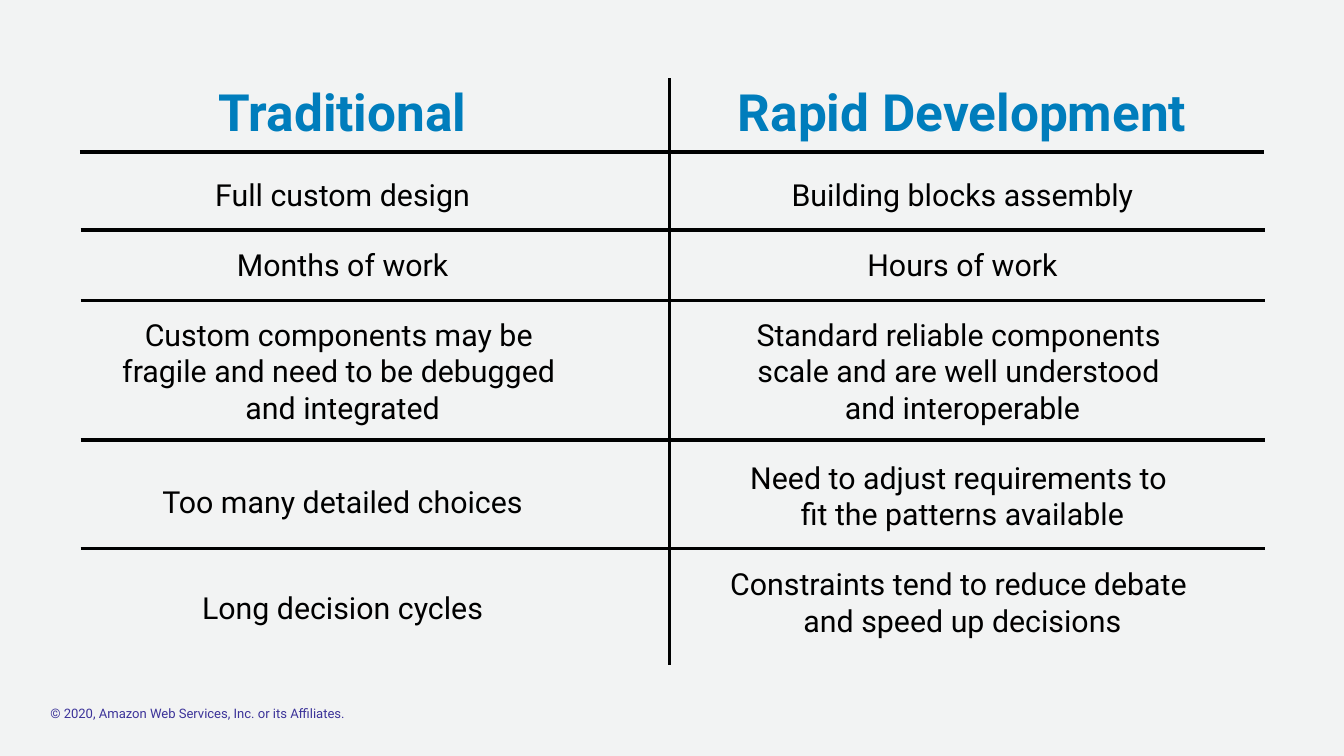
"""Build a slide comparing traditional and rapid development."""
from dataclasses import dataclass

from lxml import etree
from pptx import Presentation
from pptx import util as u
from pptx.dml.color import RGBColor
from pptx.enum import shapes, text
from pptx.oxml.ns import qn


@dataclass(frozen=True)
class Theme:
    font: str = "Roboto"
    background: str = "F2F3F3"
    heading: str = "007DBC"
    body: str = "000000"
    footer: str = "3C3399"
    heading_size: float = 44
    body_size: float = 26
    footer_size: float = 11.2
    rule_width: float = 3


theme = Theme()
deck = Presentation()
deck.slide_width, deck.slide_height = u.Pt(1152), u.Pt(648)
slide = deck.slides.add_slide(deck.slide_layouts[6])
slide.background.fill.solid()
slide.background.fill.fore_color.rgb = RGBColor.from_string(theme.background)


def add_frame(left, top, width, height, wrap=True):
    box = slide.shapes.add_textbox(u.Pt(left), u.Pt(top), u.Pt(width), u.Pt(height))
    box.text_frame.word_wrap = wrap
    return box.text_frame


def write_lines(paragraph, lines, size, color, bold=False):
    for number, line in enumerate(lines):
        if number:
            paragraph.add_line_break()
        run = paragraph.add_run()
        run.text = line
        run.font.name = theme.font
        run.font.size = u.Pt(size)
        run.font.bold = bold
        run.font.color.rgb = RGBColor.from_string(color)


copyright_line = add_frame(43.2, 604.8, 560, 13.7)
copyright_line.margin_left = copyright_line.margin_right = 0
copyright_line.margin_top = copyright_line.margin_bottom = 0
write_lines(copyright_line.paragraphs[0],
            ["© 2020, Amazon Web Services, Inc. or its Affiliates."],
            theme.footer_size, theme.footer)

approaches = [
    ("Traditional", 170.6, 246.2, 42.5, [
        (["Full custom design"], 1, 0),
        (["Months of work"], 1, 28.8),
        (["Custom components may be ", "fragile and need to be debugged ",
          "and integrated"], 1, 28.8),
        (["Too many detailed choices"], 1.5, 33.6),
        (["Long decision cycles"], 2, 28.8),
    ]),
    ("Rapid Development", 611.3, 427, 573.8, [
        (["Building blocks assembly"], 1, 0),
        (["Hours of work"], 1, 28.8),
        (["Standard reliable components ", "scale and are well understood ",
          "and interoperable"], 1, 28.8),
        (["Need to adjust requirements to ", "fit the patterns available"], 1, 28.8),
        (["Constraints tend to reduce debate ", "and speed up decisions"], 1, 28.8),
    ]),
]
for name, name_left, name_width, traits_left, traits in approaches:
    heading = add_frame(name_left, 65.5, name_width, 60.5, wrap=False)
    heading.paragraphs[0].alignment = text.PP_ALIGN.CENTER
    write_lines(heading.paragraphs[0], [name], theme.heading_size, theme.heading, True)

    column = add_frame(traits_left, 147.6, 502.6, 401)
    for row, (lines, spacing, gap) in enumerate(traits):
        trait = column.add_paragraph() if row else column.paragraphs[0]
        trait.alignment = text.PP_ALIGN.CENTER
        trait.line_spacing = float(spacing)
        if row:
            trait.space_before = u.Pt(gap)
        write_lines(trait, lines, theme.body_size, theme.body)

row_rules = [(69.1, y, 1084.3, y) for y in (197.3, 257.8, 377.3, 470.2)]
header_rule = (68.4, 130.3, 1083.6, 130.3)
column_rule = (573.8, 67, 573.8, 570.2)
for ends in [*row_rules, header_rule, column_rule]:
    rule = slide.shapes.add_connector(shapes.MSO_CONNECTOR.STRAIGHT,
                                      *(u.Pt(end) for end in ends))
    rule.line.width = u.Pt(theme.rule_width)
    rule.line.color.rgb = RGBColor.from_string(theme.body)
    etree.SubElement(rule._element.spPr, qn("a:effectLst"))

deck.save("out.pptx")
